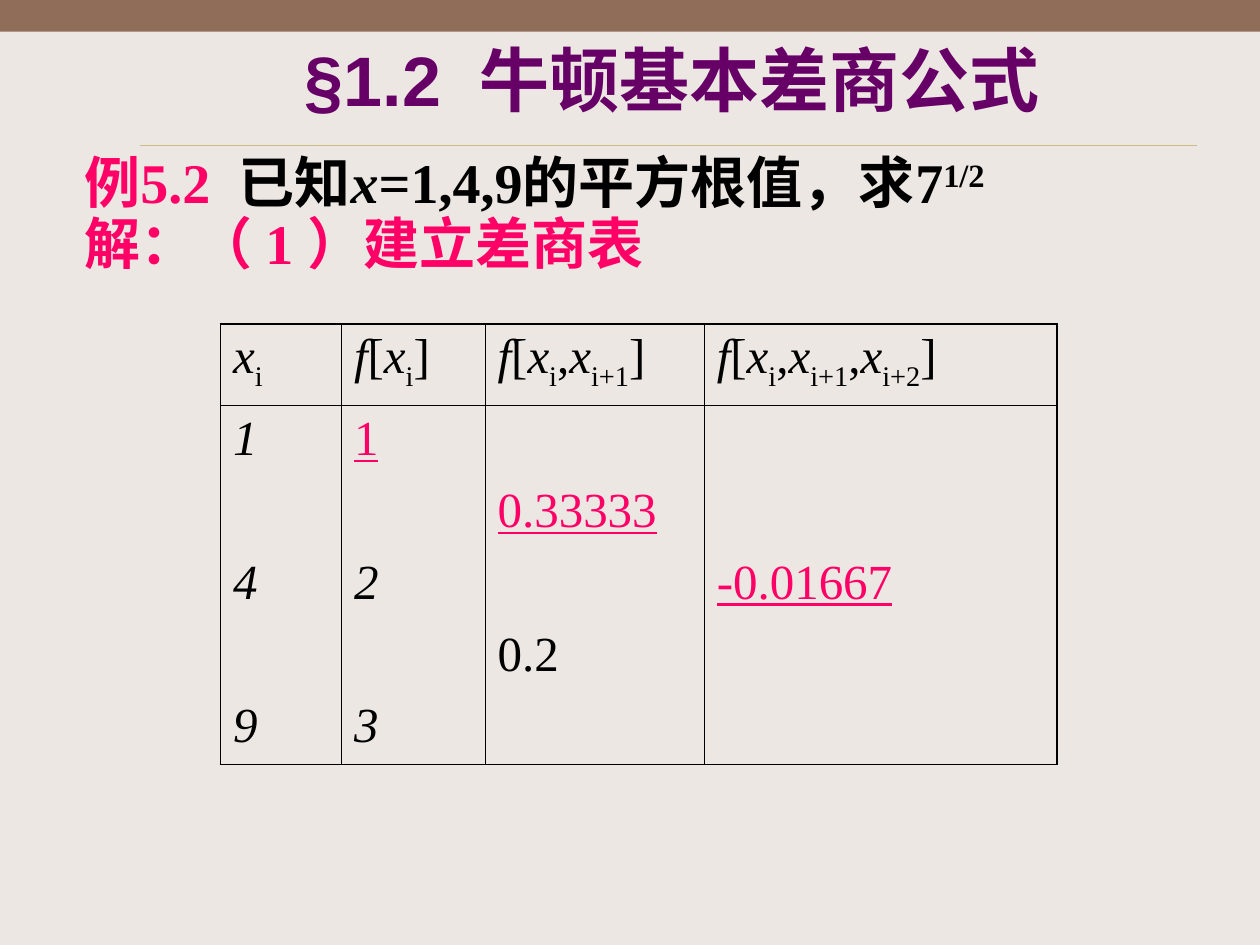
from lxml import etree
from pptx import Presentation
from pptx import util as u
from pptx.dml.color import RGBColor
from pptx.enum import shapes, text
from pptx.oxml.ns import qn

SERIF = "Times New Roman"
PINK, BLACK, PURPLE = "FF0066", "000000", "660066"
THIN, THICK = 0.45, 1.08


def color(value):
    return RGBColor.from_string(value)


def add_span(para, words, size=28, font=SERIF, fill=BLACK, bold=False,
             italic=False, underline=False, baseline=0):
    span = para.add_run()
    span.text = words
    span.font.size = u.Pt(size)
    span.font.name = font
    span.font.color.rgb = color(fill)
    span.font.bold = bold
    span.font.italic = italic
    span.font.underline = underline
    if baseline:
        span._r.get_or_add_rPr().set("baseline", str(baseline * 1000))
    return span


def add_text_box(page, left, top, width, height, inset=0):
    box = page.shapes.add_textbox(*map(u.Inches, (left, top, width, height)))
    frame = box.text_frame
    frame.word_wrap = True
    frame.margin_left = frame.margin_right = u.Inches(inset)
    frame.margin_top = frame.margin_bottom = u.Inches(inset / 2)
    return frame


def draw_backdrop(page, left, top, width, height):
    page.background.fill.solid()
    page.background.fill.fore_color.rgb = color("906D58")
    panel = page.shapes.add_shape(shapes.MSO_SHAPE.RECTANGLE,
                                  *map(u.Inches, (left, top, width, height)))
    panel.shadow.inherit = False
    panel.fill.solid()
    panel.fill.fore_color.rgb = color("EDE7E3")
    panel.line.fill.background()
    rule_y = u.Inches(top + 0.9)
    rule = page.shapes.add_connector(
        shapes.MSO_CONNECTOR.STRAIGHT,
        u.Inches(left + 1.11), rule_y, u.Inches(left + width - 0.5), rule_y)
    rule.line.color.rgb = color("CBBD83")
    rule.line.width = u.Pt(0.25)
    etree.SubElement(rule._element.spPr, qn("a:effectLst"))


def draw_title(page, left, top, width, height):
    frame = add_text_box(page, left, top, width, height, inset=0.1)
    frame.vertical_anchor = text.MSO_ANCHOR.MIDDLE
    para = frame.paragraphs[0]
    para.alignment = text.PP_ALIGN.CENTER
    add_span(para, "§1.2  牛顿基本差商公式", size=40, font="Arial", fill=PURPLE, bold=True)


def draw_example(page, left, top, width, height):
    frame = add_text_box(page, left, top, width, height)
    question = frame.paragraphs[0]
    answer = frame.add_paragraph()
    answer.space_before = u.Pt(8)
    question.line_spacing = answer.line_spacing = 0.7
    for para, words, style in (
        (question, "例5.2  ", {"fill": PINK}),
        (question, "已知", {}),
        (question, "x", {"italic": True}),
        (question, "=1,4,9的平方根值，求7", {}),
        (question, "1/2", {"baseline": 30}),
        (answer, "解：（ 1 ）建立差商表", {"fill": PINK}),
    ):
        add_span(para, words, size=32, bold=True, **style)


def add_node(para, step):
    add_span(para, "x", italic=True)
    add_span(para, f"i+{step}" if step else "i", baseline=-25)


def add_difference(para, order):
    add_span(para, "f", italic=True)
    add_span(para, "[")
    for step in range(order + 1):
        if step:
            add_span(para, ",")
        add_node(para, step)
    add_span(para, "]")


def set_borders(cell, **widths):
    properties = cell._tc.get_or_add_tcPr()
    for index, side in enumerate("LRTB"):
        width = widths[side]
        border = etree.Element(qn(f"a:ln{side}"))
        if width:
            border.set("w", str(u.Pt(width)))
            fill = etree.SubElement(border, qn("a:solidFill"))
            etree.SubElement(fill, qn("a:srgbClr"), val=BLACK)
        else:
            etree.SubElement(border, qn("a:noFill"))
        properties.insert(index, border)


def draw_difference_table(page, left, top, column_widths, row_heights):
    box = page.shapes.add_table(
        len(row_heights), len(column_widths), u.Inches(left), u.Inches(top),
        u.Inches(sum(column_widths)), u.Inches(sum(row_heights)))
    table = box.table
    table.first_row = table.horz_banding = False
    for column, width in zip(table.columns, column_widths):
        column.width = u.Inches(width)
    for row, height in zip(table.rows, row_heights):
        row.height = u.Inches(height)

    last_row, last_column = len(row_heights) - 1, len(column_widths) - 1
    for r in range(last_row + 1):
        for c in range(last_column + 1):
            cell = table.cell(r, c)
            cell.fill.background()
            set_borders(
                cell,
                L=THICK if c == 0 else THIN,
                R=THICK if c == last_column else THIN,
                T={0: THICK, 1: THIN}.get(r, 0),
                B={0: THIN, last_row: THICK}.get(r, 0))

    add_node(table.cell(0, 0).text_frame.paragraphs[0], 0)
    for order in range(last_column):
        add_difference(table.cell(0, order + 1).text_frame.paragraphs[0], order)

    value_columns = (["1", "4", "9"], ["1", "2", "3"], ["0.33333", "0.2"], ["-0.01667"])
    for c, values in enumerate(value_columns):
        first_row = max(c, 1)
        for index, value in enumerate(values):
            used = c > 0 and index == 0
            para = table.cell(first_row + 2 * index, c).text_frame.paragraphs[0]
            add_span(para, value, fill=PINK if used else BLACK, underline=used,
                     italic=c < 2 and not used)


def main():
    deck = Presentation()
    deck.slide_width, deck.slide_height = u.Inches(10), u.Inches(7.5)
    page = deck.slides.add_slide(deck.slide_layouts[6])
    draw_backdrop(page, 0, 0.25, 10, 7.25)
    draw_title(page, 1.17, 0.25, 8.33, 0.74)
    draw_difference_table(page, 1.75, 2.57, [0.96, 1.14, 1.74, 2.8], [0.65] + [0.57] * 5)
    draw_example(page, 0.67, 1.32, 9, 0.86)
    deck.save("out.pptx")


if __name__ == "__main__":
    main()
